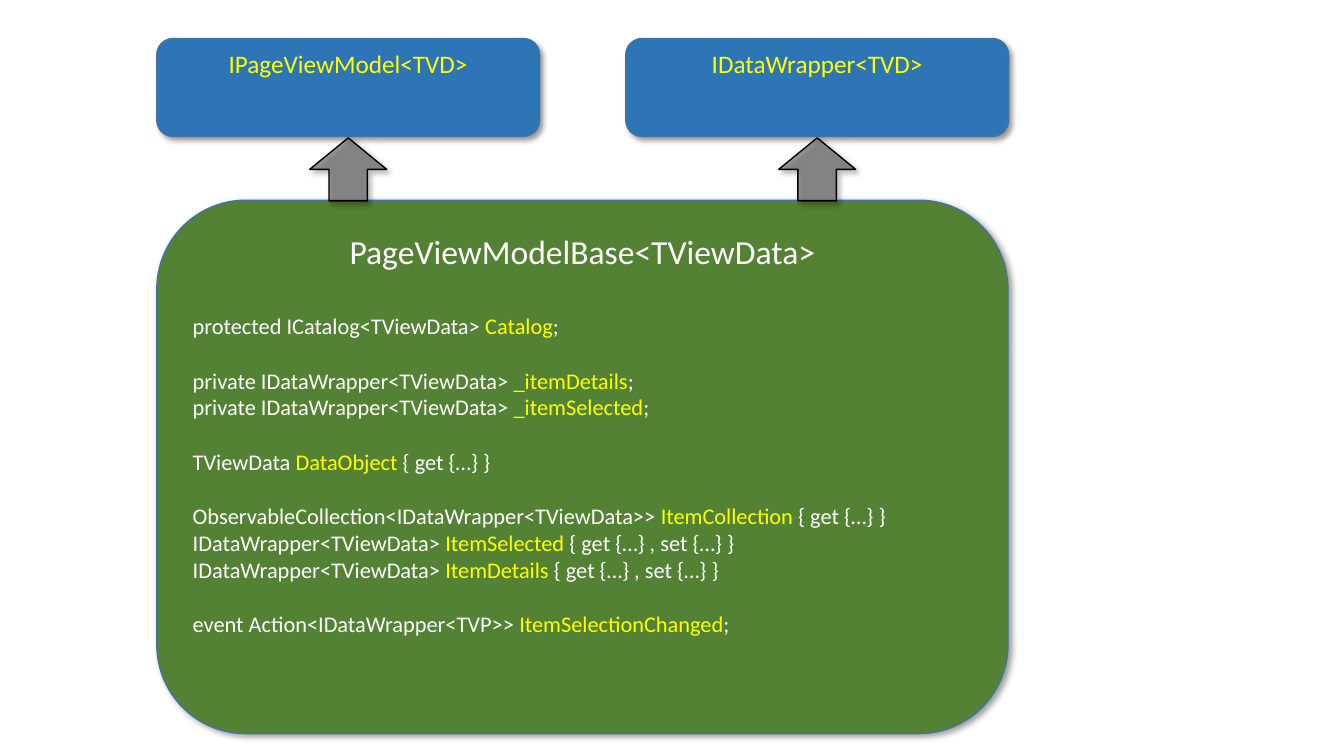
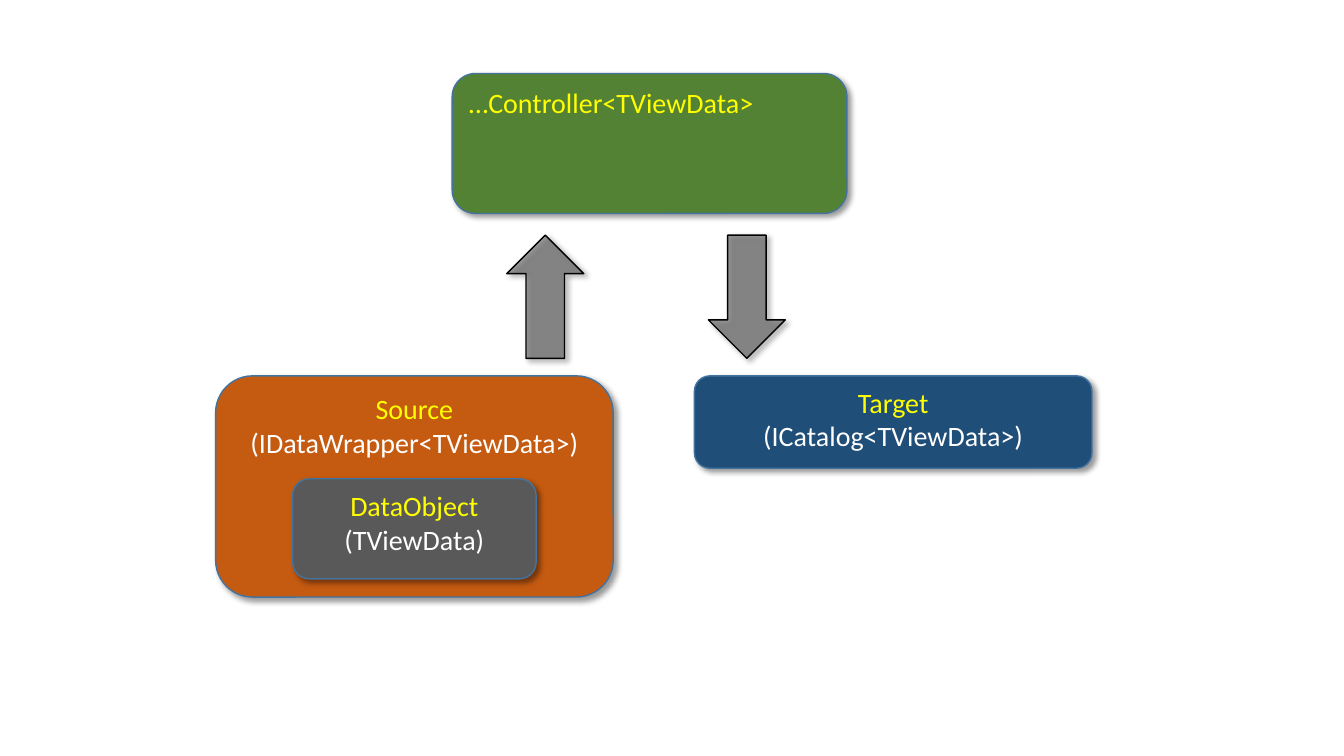
from lxml import etree
from pptx import Presentation
from pptx.dml.color import RGBColor
from pptx.enum import shapes, text
from pptx.oxml import ns
from pptx.util import Pt

FONT = "Calibri"
WHITE = RGBColor(0xFF, 0xFF, 0xFF)
YELLOW = RGBColor(0xFF, 0xFF, 0x00)
BLACK = RGBColor(0x00, 0x00, 0x00)
GRAY = RGBColor(0x59, 0x59, 0x59)
GREEN = RGBColor(0x54, 0x82, 0x35)
BLUE = RGBColor(0x2E, 0x75, 0xB6)
NAVY = RGBColor(0x1F, 0x4E, 0x79)
ORANGE = RGBColor(0xC5, 0x5A, 0x11)
OUTLINE = RGBColor(0x43, 0x73, 0x9E)
LEFT, CENTER = text.PP_ALIGN.LEFT, text.PP_ALIGN.CENTER
ROUNDED = shapes.MSO_SHAPE.ROUNDED_RECTANGLE
UP, DOWN = shapes.MSO_SHAPE.UP_ARROW, shapes.MSO_SHAPE.DOWN_ARROW
ARROW_W = 55


def add_shape(s, kind, box, fill, line):
    """Add a filled, outlined shape with the shared soft shadow."""
    sp = s.shapes.add_shape(kind, *map(Pt, box))
    sp.fill.solid()
    sp.fill.fore_color.rgb = fill
    sp.line.color.rgb = line
    sp.line.width = Pt(1)
    sp.shadow.inherit = False
    effects = sp._element.spPr.find(ns.qn("a:effectLst"))
    shadow = etree.SubElement(effects, ns.qn("a:outerShdw"), blurRad=str(Pt(4)),
                              dist=str(Pt(3)), dir="2700000", algn="tl", rotWithShape="0")
    color = etree.SubElement(shadow, ns.qn("a:srgbClr"), val=str(BLACK))
    etree.SubElement(color, ns.qn("a:alpha"), val="40000")
    if kind in (UP, DOWN):
        color = sp._element.spPr.find(ns.qn("a:solidFill"))[0]
        etree.SubElement(color, ns.qn("a:alpha"), val="60000")
    return sp


def write_lines(sp, lines):
    """Write (marked text, size, space before, alignment); text between bars is yellow."""
    tf = sp.text_frame
    tf.word_wrap = True
    tf.vertical_anchor = text.MSO_ANCHOR.TOP
    for i, (marked, size, space, align) in enumerate(lines):
        p = tf.add_paragraph() if i else tf.paragraphs[0]
        p.alignment = align
        p.space_before = Pt(space)
        for j, part in enumerate(marked.split("|")):
            if part:
                r = p.add_run()
                r.text = part
                r.font.name = FONT
                r.font.size = Pt(size)
                r.font.color.rgb = YELLOW if j % 2 else WHITE


prs = Presentation()
prs.slide_width, prs.slide_height = Pt(960), Pt(540)
blank = prs.slide_layouts[6]

# Slide 1: base class and its members
s = prs.slides.add_slide(blank)
sp = add_shape(s, ROUNDED, (112, 143, 608, 381), GREEN, OUTLINE)
GAP = 19.5
members = [
    ("protected ICatalog<TViewData> |Catalog|;", 29.3),
    ("private IDataWrapper<TViewData> |_itemDetails|;", GAP),
    ("private IDataWrapper<TViewData> |_itemSelected|;", 0),
    ("TViewData |DataObject| { get {…} }", GAP),
    ("ObservableCollection<IDataWrapper<TViewData>> |ItemCollection| { get {…} }", GAP),
    ("IDataWrapper<TViewData> |ItemSelected| { get {…} , set {…} }", 0),
    ("IDataWrapper<TViewData> |ItemDetails| { get {…} , set {…} }", 0),
    ("event Action<IDataWrapper<TVP>> |ItemSelectionChanged|;", GAP),
]
write_lines(sp, [("PageViewModelBase<TViewData>", 24, 0, CENTER)]
            + [(member, 16, space, LEFT) for member, space in members])

# Implemented interfaces, each with an arrow from the base class
INTERFACE_W = 273.5
for name, x in (("IPageViewModel<TVD>", 112), ("IDataWrapper<TVD>", 447)):
    sp = add_shape(s, ROUNDED, (x, 27.5, INTERFACE_W, 70), BLUE, OUTLINE)
    write_lines(sp, [(f"|{name}|", 18, 0, CENTER)])
    arrow_x = x + (INTERFACE_W - ARROW_W) / 2
    add_shape(s, UP, (arrow_x, 98.5, ARROW_W, 45), GRAY, BLACK)

# Slide 2: controller between source and target
s = prs.slides.add_slide(blank)
sp = add_shape(s, ROUNDED, (323, 52.5, 282, 100), GREEN, OUTLINE)
write_lines(sp, [("|…Controller<TViewData>|", 20, 0, LEFT)])

for kind, x in ((UP, 362), (DOWN, 506)):
    add_shape(s, kind, (x, 168, ARROW_W, 88), GRAY, BLACK)

# Data boxes: role above, type below
for role, data_type, box, fill in (
    ("Source", "(IDataWrapper<TViewData>)", (154, 268.5, 284, 158), ORANGE),
    ("Target", "(ICatalog<TViewData>)", (496, 268.5, 284, 66), NAVY),
    ("DataObject", "(TViewData)", (209, 342, 174, 71.5), GRAY),
):
    sp = add_shape(s, ROUNDED, box, fill, OUTLINE)
    write_lines(sp, [(f"|{role}|", 20, 0, CENTER), (data_type, 20, 0, CENTER)])

prs.save("out.pptx")
